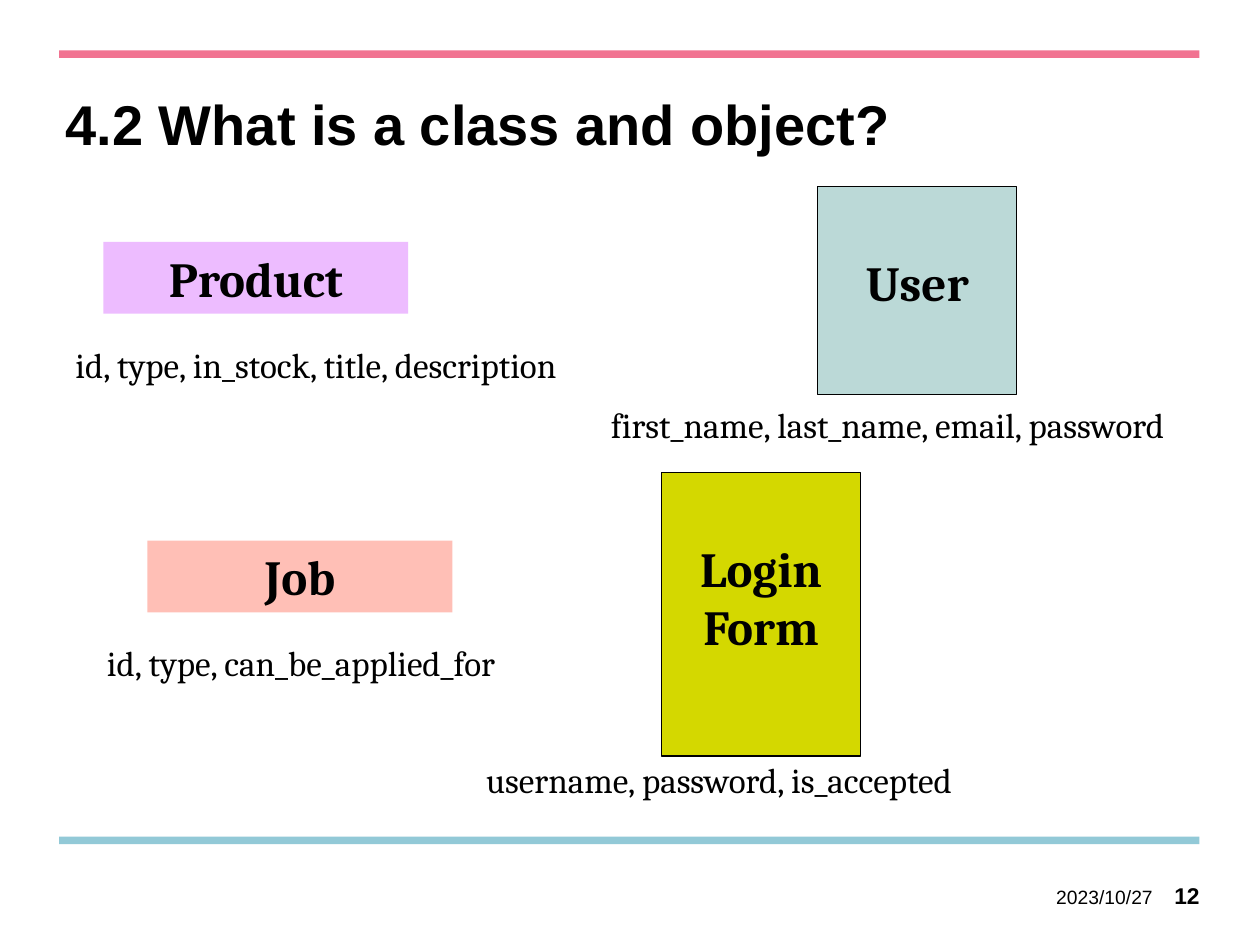
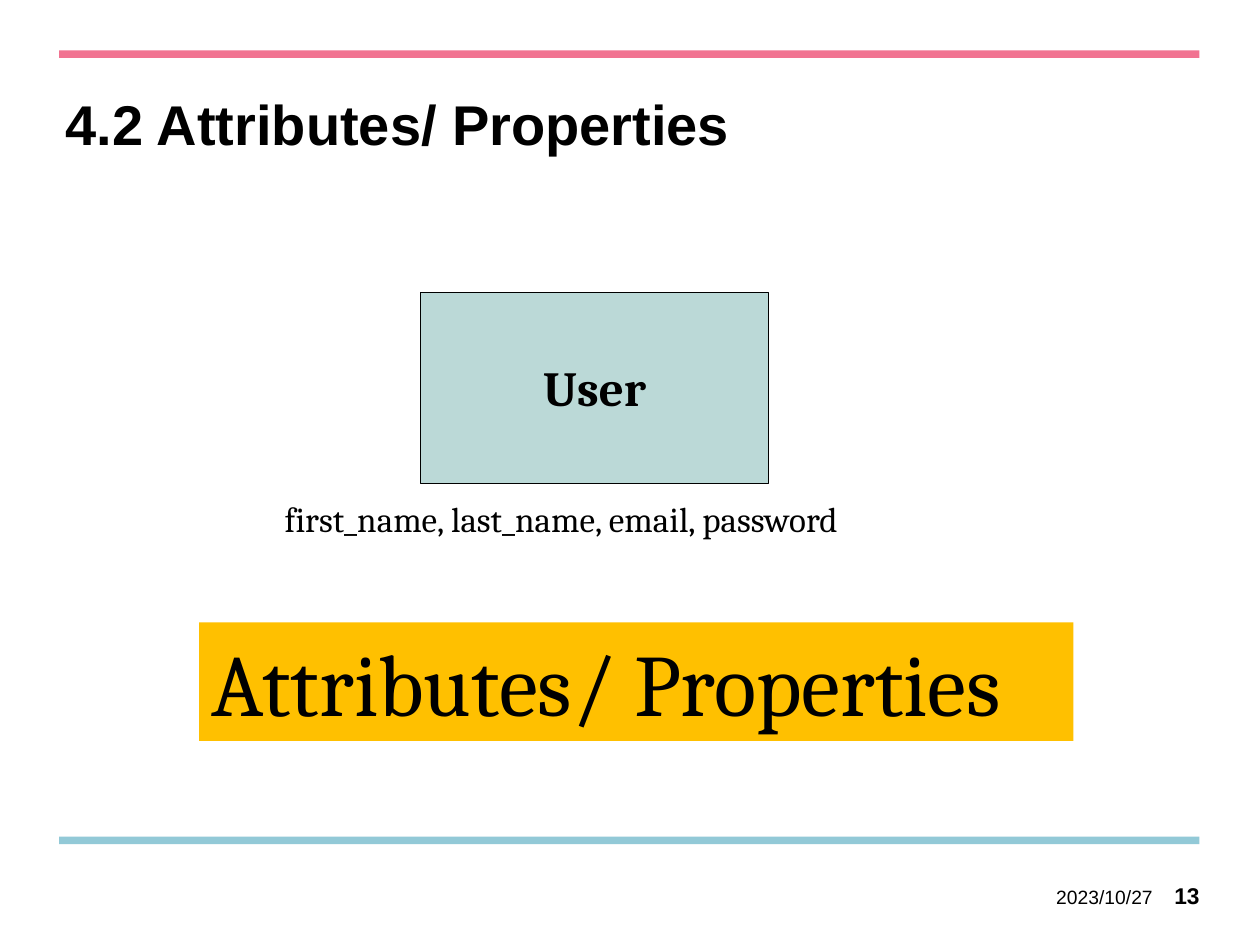
from pptx import Presentation
from pptx.dml.color import RGBColor
from pptx.enum.shapes import MSO_SHAPE
from pptx.enum.text import MSO_ANCHOR, PP_ALIGN
from pptx.util import Inches, Pt

RECT = MSO_SHAPE.RECTANGLE
TOP, MIDDLE = MSO_ANCHOR.TOP, MSO_ANCHOR.MIDDLE
LEFT, CENTER, RIGHT = PP_ALIGN.LEFT, PP_ALIGN.CENTER, PP_ALIGN.RIGHT

# The slide is a grid of 100 columns by 75 rows; boxes are (left, top, width, height).
COLS, ROWS = 100, 75
WIDE, HIGH = Inches(10), Inches(7.5)
HEAD, BODY = "Arial", "Cambria"
PAD = (1, 0.5, 1, 0.5)
DROP = (1, 5.2, 1, 0.5)
NOTE_H = 4.4
USER_NOTE = "first_name, last_name, email, password"
INK = {
    "text": "000000", "pink": "F17391", "blue": "92C9D7",
    "lilac": "EDBCFF", "peach": "FFBFB6", "lime": "D4D800",
    "mint": "BBD9D7", "gold": "FFC000",
}


def color(name):
    return RGBColor.from_string(INK[name])


def place(box):
    """Turn a grid box into slide lengths."""
    x, y, w, h = box
    col, row = WIDE / COLS, HIGH / ROWS
    return int(x * col), int(y * row), int(w * col), int(h * row)


def write(shape, text, size, font=BODY, bold=False, align=LEFT, anchor=TOP, pad=PAD):
    frame = shape.text_frame
    frame.word_wrap = True
    frame.vertical_anchor = anchor
    (frame.margin_left, frame.margin_top,
     frame.margin_right, frame.margin_bottom) = place(pad)
    para = frame.paragraphs[0]
    para.alignment = align
    run = para.add_run()
    run.text = text
    run.font.name, run.font.size, run.font.bold = font, Pt(size), bold
    run.font.color.rgb = color("text")
    return para


def block(slide, box, fill, edged=False):
    shape = slide.shapes.add_shape(RECT, *place(box))
    shape.shadow.inherit = False
    shape.fill.solid()
    shape.fill.fore_color.rgb = color(fill)
    if edged:
        shape.line.color.rgb = color("text")
        shape.line.width = Pt(0.75)
    else:
        shape.line.fill.background()
    return shape


def label(slide, box, text, size, **style):
    return write(slide.shapes.add_textbox(*place(box)), text, size, **style)


def footer(slide, box, page):
    x, y, w, h = box
    date, num = 9.6, 3.9
    label(slide, (x, y, date, h), "2023/10/27", 11, font=HEAD,
          align=RIGHT, anchor=MIDDLE, pad=(0, 0, 0, 0))
    label(slide, (x + w - num, y, num, h), str(page), 13, font=HEAD,
          bold=True, align=RIGHT, pad=(0, 0.2, 0, 0))


def start(deck, title, page):
    """Add a slide with its title, bands and footer."""
    slide = deck.slides.add_slide(deck.slide_layouts[5])
    for top, fill in ((66.4, "blue"), (4, "pink")):
        block(slide, (4.7, top, 90.5, 0.6), fill)
    head = slide.shapes.title
    head.left, head.top, head.width, head.height = place((4.2, 7.2, 87.4, 7.7))
    write(head, title, 32, font=HEAD, bold=True).line_spacing = Pt(34)
    footer(slide, (81.9, 69.8, 13.3, 2.7), page)
    return slide


def card(slide, box, name, fill, note, shift, gap, wide, edged=False):
    """Draw a class box with its fields listed below, shifted left."""
    x, y, w, h = box
    write(block(slide, box, fill, edged), name, 28, bold=True, align=CENTER,
          pad=DROP if edged else PAD)
    label(slide, (x - shift, y + h + gap, wide, NOTE_H), note, 20)


def classes(deck):
    slide = start(deck, "4.2 What is a class and object?", 12)
    card(slide, (8.2, 19.2, 24.2, 5.7), "Product", "lilac",
         "id, type, in_stock, title, description", 3.2, 1.9, 60)
    card(slide, (11.7, 42.9, 24.2, 5.7), "Job", "peach",
         "id, type, can_be_applied_for", 4.2, 1.8, 40)
    card(slide, (52.5, 37.5, 15.8, 22.5), "Login Form", "lime",
         "username, password, is_accepted", 14.9, -0.3, 44.3, edged=True)
    card(slide, (64.9, 14.8, 15.8, 16.5), "User", "mint",
         USER_NOTE, 17.4, 0.2, 52.5, edged=True)


def fields(deck):
    slide = start(deck, "4.2 Attributes/ Properties", 13)
    card(slide, (33.4, 23.2, 27.6, 15.2), "User", "mint",
         USER_NOTE, 11.8, 0.6, 52.5, edged=True)
    write(block(slide, (15.8, 49.4, 69.4, 9.4), "gold"),
          "Attributes/ Properties", 50)


def main():
    deck = Presentation()
    deck.slide_width, deck.slide_height = WIDE, HIGH
    classes(deck)
    fields(deck)
    deck.save("out.pptx")


if __name__ == "__main__":
    main()
